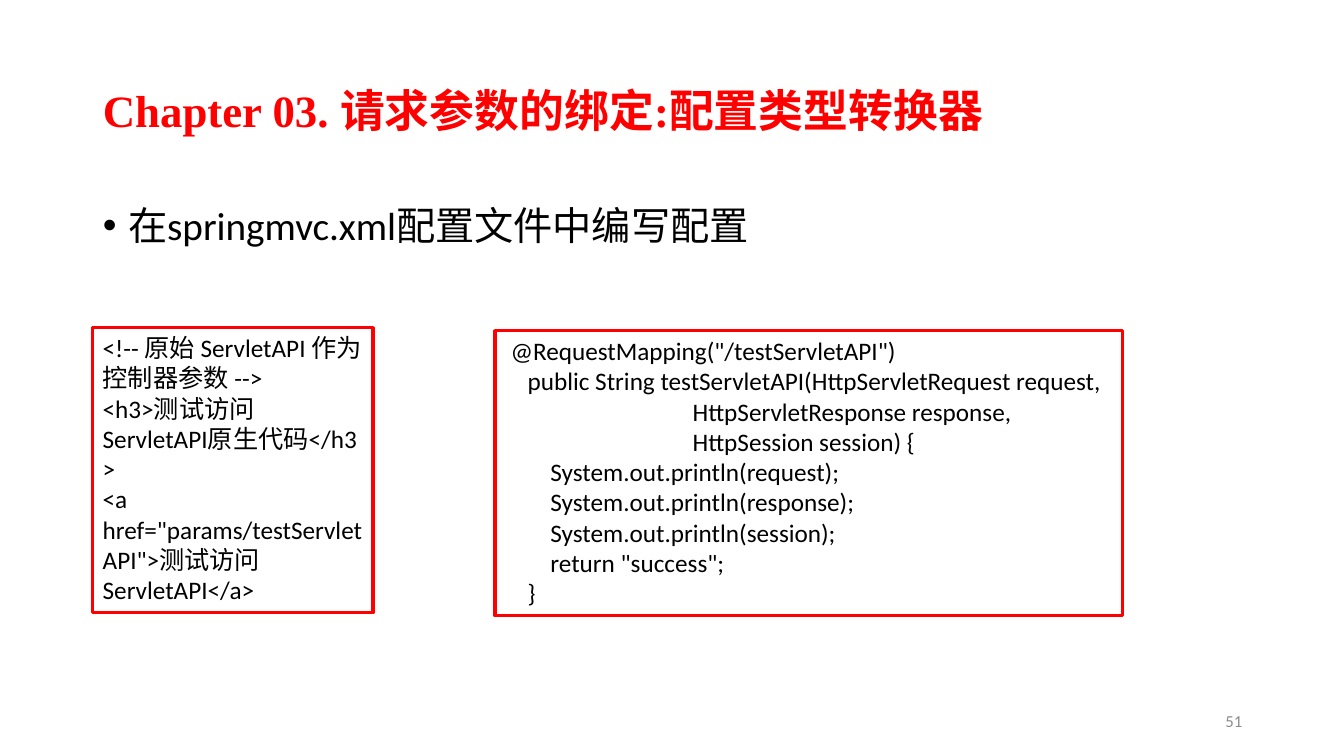
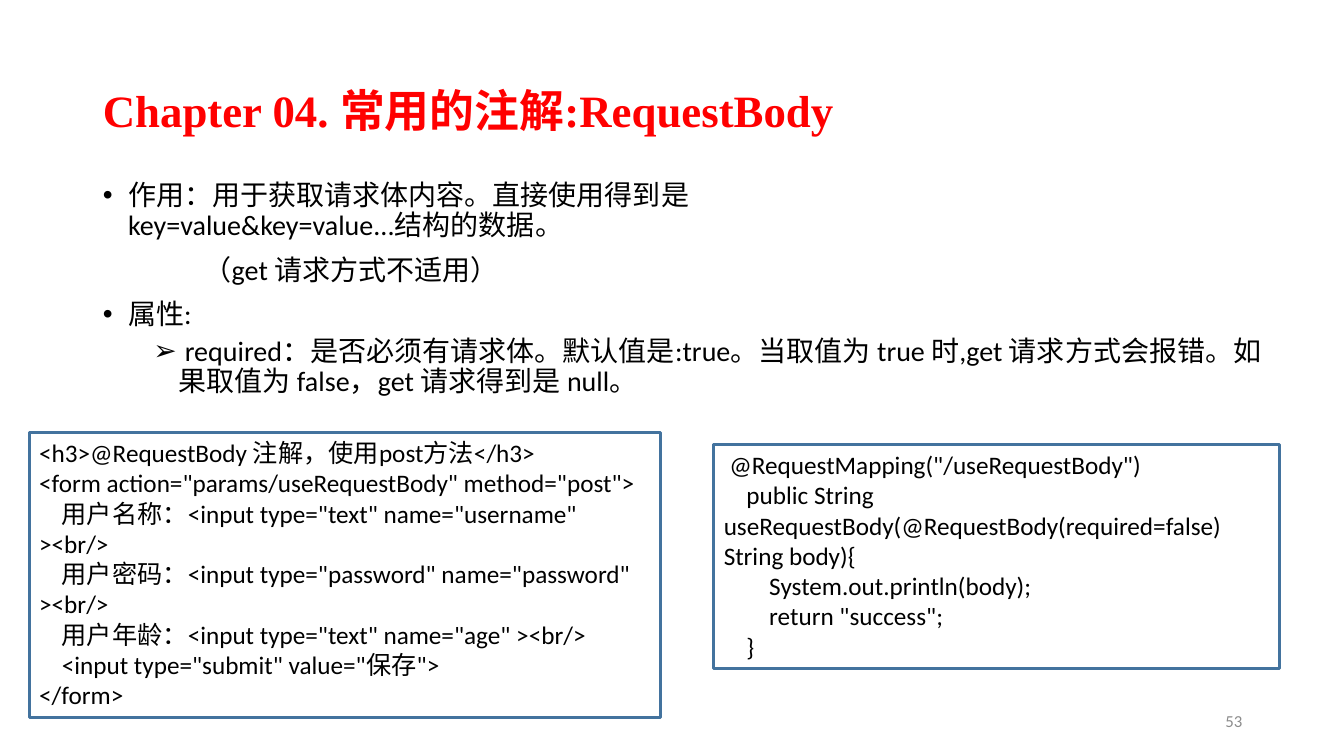
from pptx import Presentation
from pptx.dml.color import RGBColor
from pptx.enum.text import MSO_ANCHOR, MSO_AUTO_SIZE, PP_ALIGN
from pptx.oxml.ns import qn
from pptx.util import Inches, Pt
from lxml.etree import SubElement

RED = RGBColor(0xFF, 0x00, 0x00)
BLUE = RGBColor(0x43, 0x73, 0x9E)
BLACK = RGBColor(0x00, 0x00, 0x00)
GRAY = RGBColor(0x8C, 0x8C, 0x8C)

# Shared places (left, top, width, height in inches) and text formats
TITLE_AREA = (0.92, 0.4, 11.5, 1.45)
NUMBER_AREA = (9.42, 6.95, 3, 0.4)
TITLE_FONT = {"name": "Times New Roman", "size": Pt(32), "bold": True}
BODY_FONT = {"name": "Calibri"}
CODE_FONT = {"name": "Calibri", "size": Pt(18)}
NUMBER_FONT = {"name": "Calibri", "size": Pt(12)}

# Paragraph kinds: bullet, left margin, first-line indent, space before
KINDS = {
    "point": ("•", 0.25, -0.25, 10),
    "remark": (None, 1, 0, 10),
    "detail": ("➢", 0.75, -0.25, 5),
}

# Content
SLIDES = [
    {
        "title": "Chapter 03. 请求参数的绑定:配置类型转换器",
        "number": "51",
        "body_area": (0.92, 2, 11.5, 4.76),
        "body_size": 28,
        "body": [("point", "在springmvc.xml配置文件中编写配置")],
        "frame": RED,
        "code": [
            ((0.92, 3.25, 2.78, 2.83), [
                "<!-- 原始 ServletAPI 作为控制器参数 -->",
                "<h3>测试访问 ServletAPI原生代码</h3>",
                '<a href="params/testServletAPI">测试访问 ServletAPI</a>',
            ]),
            ((4.91, 3.28, 6.22, 2.83), [
                ' @RequestMapping("/testServletAPI")',
                "    public String testServletAPI(HttpServletRequest request,",
                "                                 HttpServletResponse response,",
                "                                 HttpSession session) {",
                "        System.out.println(request);",
                "        System.out.println(response);",
                "        System.out.println(session);",
                '        return "success";',
                "    }",
            ]),
        ],
    },
    {
        "title": "Chapter 04. 常用的注解:RequestBody",
        "number": "53",
        "body_area": (0.92, 1.75, 11.78, 4.76),
        "body_size": 20,
        "body": [
            ("point", "作用：用于获取请求体内容。直接使用得到是\vkey=value&key=value...结构的数据。"),
            ("remark", "（get 请求方式不适用）"),
            ("point", "属性:"),
            ("detail", " required：是否必须有请求体。默认值是:true。当取值为 true 时,get 请求方式会报错。"
                       "如果取值为 false，get 请求得到是 null。"),
        ],
        "frame": BLUE,
        "code": [
            ((0.29, 4.29, 6.26, 2.83), [
                "<h3>@RequestBody 注解，使用post方法</h3>",
                '<form action="params/useRequestBody" method="post">',
                '    用户名称：<input type="text" name="username" ><br/>',
                '    用户密码：<input type="password" name="password" ><br/>',
                '    用户年龄：<input type="text" name="age" ><br/>',
                '    <input type="submit" value="保存">',
                "</form>",
            ]),
            ((7.08, 4.41, 5.61, 2.22), [
                ' @RequestMapping("/useRequestBody")',
                "    public String useRequestBody(@RequestBody(required=false) String body){",
                "        System.out.println(body);",
                '        return "success";',
                "    }",
            ]),
        ],
    },
]


def place(box, area):
    for side, length in zip(("left", "top", "width", "height"), area):
        setattr(box, side, Inches(length))


def write(box, lines, font, color=BLACK, anchor=MSO_ANCHOR.TOP, **layout):
    """Fill a box with one paragraph per line, all in one format."""
    frame = box.text_frame
    frame.word_wrap = True
    frame.auto_size = MSO_AUTO_SIZE.NONE
    frame.vertical_anchor = anchor
    for index, line in enumerate(lines):
        para = frame.add_paragraph() if index else frame.paragraphs[0]
        para.text = line
        for name, value in layout.items():
            setattr(para, name, value)
        for span in para.runs:
            for name, value in font.items():
                setattr(span.font, name, value)
            span.font.color.rgb = color
    return frame


def style_list(frame, kinds):
    """Give each body paragraph its indent, bullet and spacing."""
    for index, (para, kind) in enumerate(zip(frame.paragraphs, kinds)):
        bullet, margin, indent, space = KINDS[kind]
        para.level = 1 if kind == "detail" else 0
        para.space_before = Pt(space if index else 0)
        props = para._p.get_or_add_pPr()
        props.set("marL", str(Inches(margin)))
        props.set("indent", str(Inches(indent)))
        if bullet:
            SubElement(props, qn("a:buFont")).set("typeface", "Arial")
            SubElement(props, qn("a:buChar")).set("char", bullet)
        else:
            SubElement(props, qn("a:buNone"))


def add_code(page, area, lines, color):
    box = page.shapes.add_textbox(*map(Inches, area))
    box.line.color.rgb = color
    box.line.width = Pt(2.25)
    frame = write(box, lines, CODE_FONT)
    frame.auto_size = MSO_AUTO_SIZE.SHAPE_TO_FIT_TEXT


def add_page(deck, content):
    page = deck.slides.add_slide(deck.slide_layouts[1])

    # Title and page number
    title = page.shapes.title
    place(title, TITLE_AREA)
    write(title, [content["title"]], TITLE_FONT, RED, MSO_ANCHOR.MIDDLE,
          alignment=PP_ALIGN.LEFT, line_spacing=0.9)
    number = page.shapes.add_textbox(*map(Inches, NUMBER_AREA))
    write(number, [content["number"]], NUMBER_FONT, GRAY, MSO_ANCHOR.MIDDLE,
          alignment=PP_ALIGN.RIGHT)

    # Body list
    body = page.placeholders[1]
    place(body, content["body_area"])
    kinds, lines = zip(*content["body"])
    font = {**BODY_FONT, "size": Pt(content["body_size"])}
    style_list(write(body, lines, font, line_spacing=0.9), kinds)

    # Framed code
    for area, lines in content["code"]:
        add_code(page, area, lines, content["frame"])


def main():
    deck = Presentation()
    deck.slide_width = Inches(13.33)
    deck.slide_height = Inches(7.5)
    for content in SLIDES:
        add_page(deck, content)
    deck.save("out.pptx")


if __name__ == "__main__":
    main()
